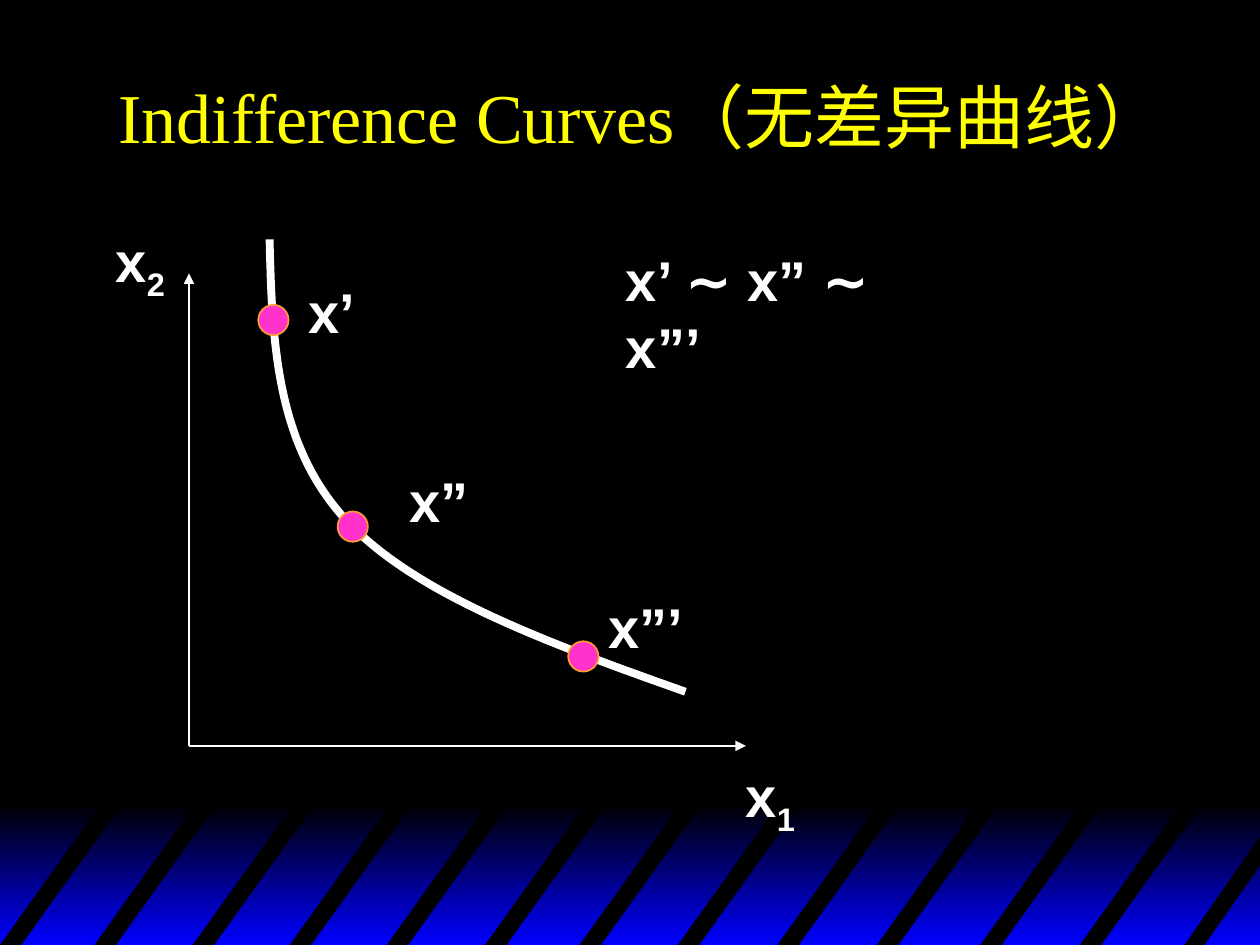
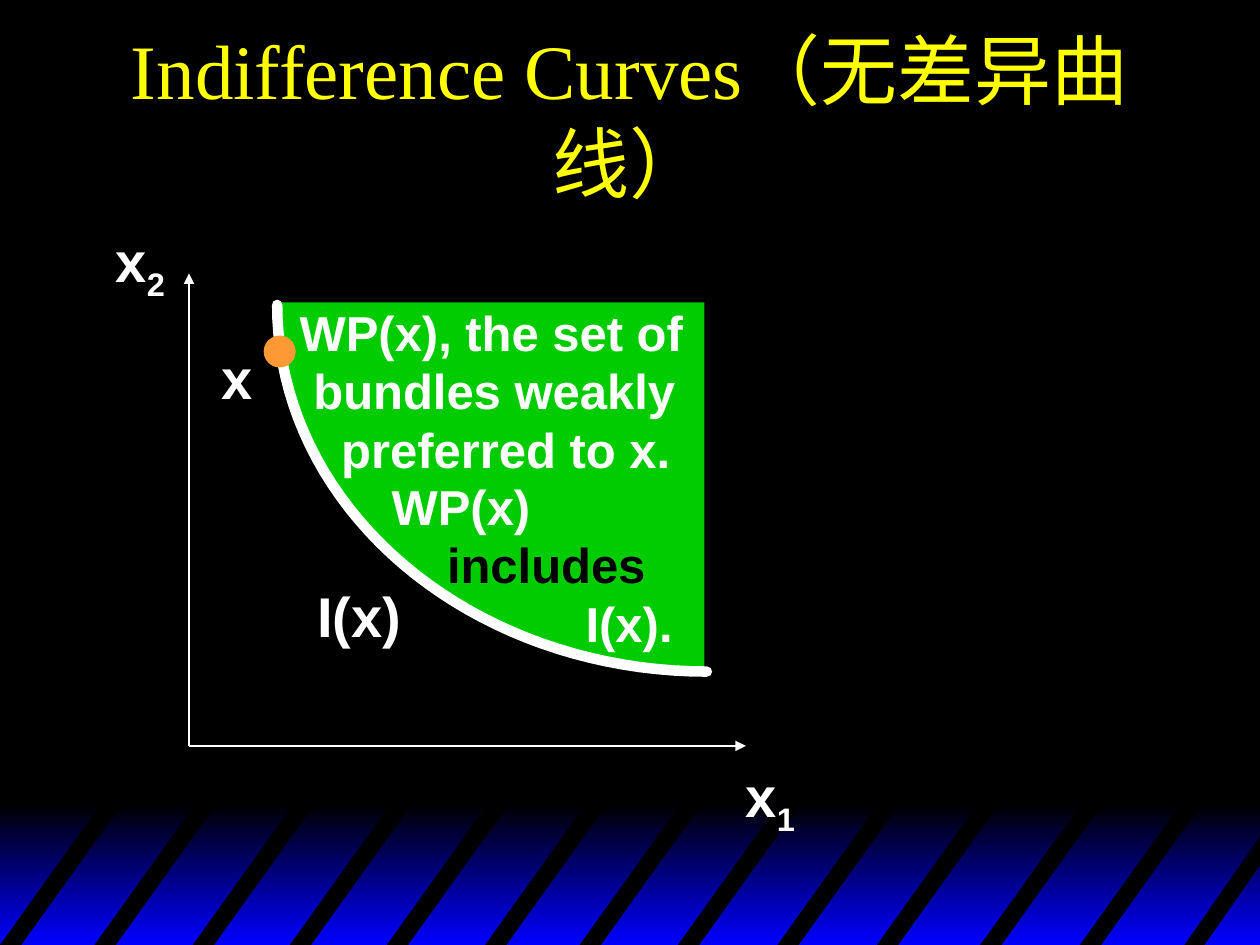
"""Build two slides on indifference curves."""
from math import cos, pi, sin

from lxml.etree import SubElement
from pptx import Presentation
from pptx.dml.color import RGBColor
from pptx.enum.shapes import MSO_CONNECTOR, MSO_SHAPE
from pptx.enum.text import MSO_ANCHOR, PP_ALIGN
from pptx.oxml.ns import qn
from pptx.util import Inches, Pt

BLACK, WHITE, BLUE, YELLOW = "000000", "FFFFFF", "0000FF", "FFFF00"
PINK, ORANGE, GREEN = "FF33CC", "FF9933", "00CC00"
TITLE = "Indifference Curves（无差异曲线）"
SPACE = 0.11


def color(code):
    return RGBColor.from_string(code)


def add_text(page, text, left, top, width=1.2, height=0.63, size=32, font="Arial",
             ink=WHITE, bold=True, subscript="", indents=(0,), black_line="",
             spacing=1.2, align=PP_ALIGN.LEFT, anchor=MSO_ANCHOR.TOP):
    box = page.shapes.add_textbox(Inches(left), Inches(top), Inches(width), Inches(height))
    frame = box.text_frame
    frame.word_wrap = True
    frame.vertical_anchor = anchor
    for number, (line, indent) in enumerate(zip(text.split("\n"), indents)):
        para = frame.add_paragraph() if number else frame.paragraphs[0]
        para.alignment = align
        if spacing:
            para.line_spacing = Pt(spacing * size)
        if indent:
            para._p.get_or_add_pPr().set("marL", str(Inches(indent * SPACE)))
        for part in filter(None, (line, subscript)):
            span = para.add_run()
            span.text = part
            span.font.name = font
            span.font.size = Pt(size)
            span.font.bold = bold
            span.font.color.rgb = color(BLACK if line == black_line else ink)
            if part == subscript:
                span.font._element.set("baseline", "-25000")


stripe_lefts = [0, 0.75, 1.53, 2.3, 3.07, 3.85, 4.6, 5.38, 6.17, 6.96, 7.78, 8.57]
stripes = [[(x, 7.5), (x + 0.83, 6.34), (x + 1, 6.34), (x + 0.17, 7.5)] for x in stripe_lefts]
stripes.append([(9.4, 7.5), (10, 6.64), (10, 6.87), (9.56, 7.5)])

STEPS = 40
bends = [[(2.14, 1.9), (2.16, 2.71), (2.19, 3.52), (2.74, 4.12)],
         [(2.74, 4.12), (3.29, 4.72), (4.37, 5.11), (5.44, 5.49)]]
bundle_curve = []
for bend in bends:
    for step in range(STEPS + 1):
        t = step / STEPS
        weights = [(1 - t) ** 3, 3 * t * (1 - t) ** 2, 3 * t ** 2 * (1 - t), t ** 3]
        bundle_curve.append([sum(w * point[axis] for w, point in zip(weights, bend))
                             for axis in (0, 1)])
angles = [step * pi / 2 / STEPS for step in range(STEPS + 1)]
quarter_curve = [(5.61 - 3.41 * cos(a), 2.42 + 2.91 * sin(a)) for a in angles]
preferred_set = [(2.21, 2.4), (2.26, 2.94), (2.4, 3.43), (2.77, 4.07), (3.11, 4.37),
                 (3.47, 4.68), (4.09, 5.03), (4.6, 5.21), (5.59, 5.35), (5.59, 2.4)]

slides = [
    dict(title_width=8.68, title_size=40, areas=[], curve=bundle_curve, curve_width=4.5,
         cap="flat", dot_fill=PINK, dots=[(2.05, 2.42), (2.68, 4.06), (4.51, 5.09)],
         labels=[("x’", 2.35, 2.15), ("x”", 3.15, 3.65), ("x”’", 4.73, 4.65)]),
    dict(title_width=8.5, title_size=44, areas=[preferred_set], curve=quarter_curve,
         curve_width=6, cap="rnd", dot_fill=ORANGE, dots=[(2.1, 2.67)],
         labels=[("x", 1.66, 2.68), ("I(x)", 2.42, 4.57)]),
]

deck = Presentation()
deck.slide_width, deck.slide_height = Inches(10), Inches(7.5)
pages = []
for content in slides:
    page = deck.slides.add_slide(deck.slide_layouts[6])
    pages.append(page)
    page.background.fill.solid()
    page.background.fill.fore_color.rgb = color(BLACK)

    band = page.shapes.add_shape(MSO_SHAPE.RECTANGLE, 0, Inches(6.38), Inches(10), Inches(1.12))
    band.shadow.inherit = False
    band.line.fill.background()
    band.fill.gradient()
    band.fill.gradient_angle = 270
    for stop, code in zip(band.fill.gradient_stops, (BLACK, BLUE)):
        stop.color.rgb = color(code)

    outlines = [(stripe, BLACK) for stripe in stripes]
    outlines += [(area, GREEN) for area in content["areas"]]
    outlines.append((content["curve"], None))
    for points, fill in outlines:
        corners = [(Inches(x), Inches(y)) for x, y in points]
        builder = page.shapes.build_freeform(*corners[0])
        builder.add_line_segments(corners[1:], close=fill is not None)
        outline = builder.convert_to_shape()
        outline.shadow.inherit = False
        if fill:
            outline.fill.solid()
            outline.fill.fore_color.rgb = color(fill)
            outline.line.fill.background()
        else:
            outline.fill.background()
            outline.line.color.rgb = color(WHITE)
            outline.line.width = Pt(content["curve_width"])
            outline.line._get_or_add_ln().set("cap", content["cap"])

    add_text(page, TITLE, 0.75, 0.25, content["title_width"], 1.33,
             size=content["title_size"], font="Times New Roman", ink=YELLOW, bold=False,
             spacing=None, align=PP_ALIGN.CENTER, anchor=MSO_ANCHOR.MIDDLE)

    for tip_x, tip_y in [(1.5, 2.17), (5.92, 5.92)]:
        axis_line = page.shapes.add_connector(MSO_CONNECTOR.STRAIGHT, Inches(1.5), Inches(5.92),
                                              Inches(tip_x), Inches(tip_y))
        axis_line.line.color.rgb = color(WHITE)
        axis_line.line.width = Pt(1)
        SubElement(axis_line.line._get_or_add_ln(), qn("a:tailEnd"), type="triangle")
        SubElement(axis_line._element.spPr, qn("a:effectLst"))
    for number, left, top in [("2", 0.82, 1.82), ("1", 5.82, 6.07)]:
        add_text(page, "x", left, top, height=0.71, subscript=number)

    for left, top in content["dots"]:
        dot = page.shapes.add_shape(MSO_SHAPE.OVAL, Inches(left), Inches(top),
                                    Inches(0.24), Inches(0.24))
        dot.shadow.inherit = False
        dot.fill.solid()
        dot.fill.fore_color.rgb = color(content["dot_fill"])
        dot.line.color.rgb = color(ORANGE)
        dot.line.width = Pt(1)
    for label, left, top in content["labels"]:
        add_text(page, label, left, top)

bundles_page, preferred_page = pages
add_text(bundles_page, "x’ ∼ x” ∼ x”’", 4.87, 1.9, width=2.5, height=1.16)
add_text(preferred_page, "WP(x), the set of\nbundles weakly\npreferred to x.", 2.28, 2.35,
         width=4.5, height=1.5, size=28, indents=(0, 1, 3))
add_text(preferred_page, "WP(x)\nincludes\nI(x).", 2.79, 3.73, width=2.8, height=1.5,
         size=28, indents=(2, 6, 16), black_line="includes")

deck.save("out.pptx")
